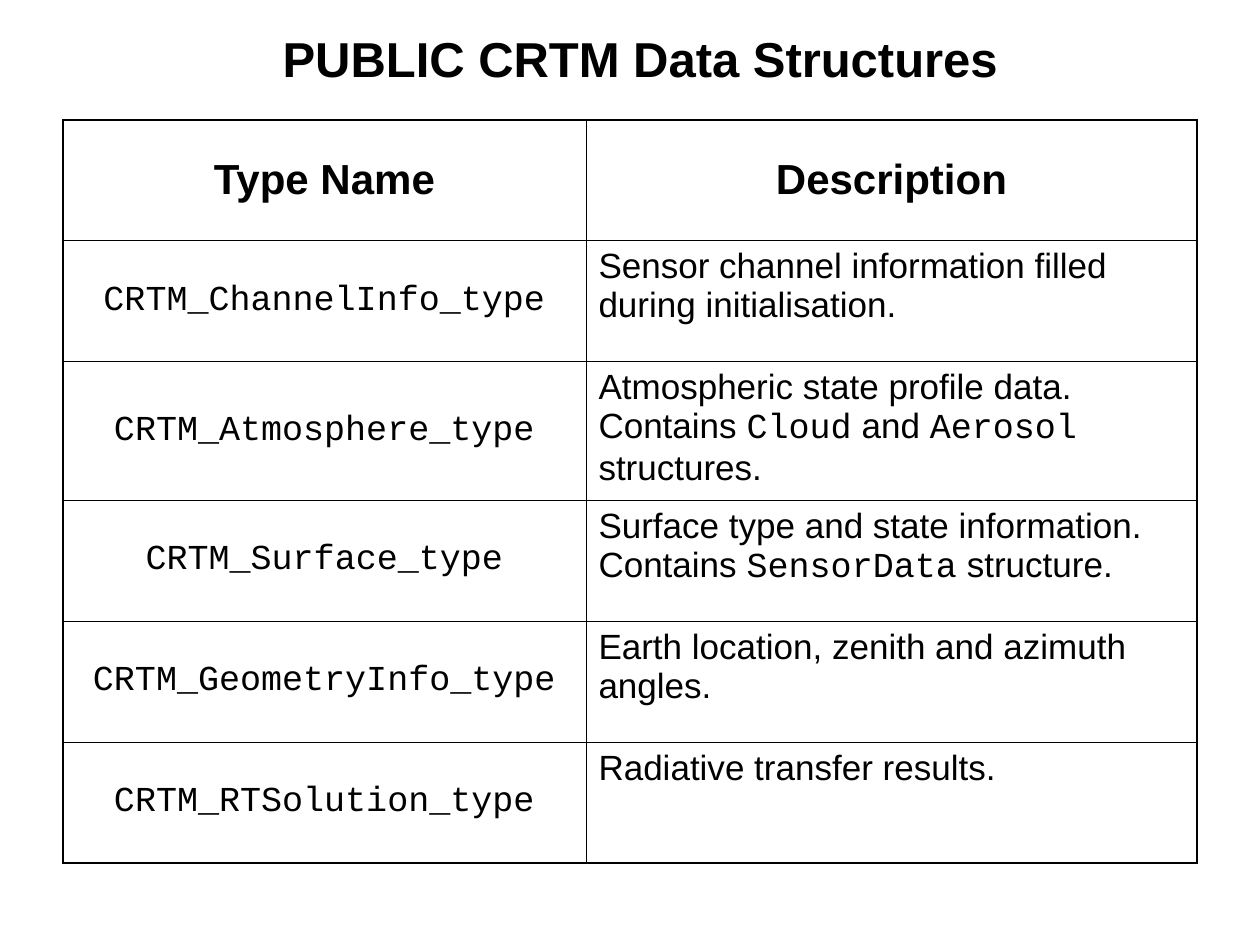
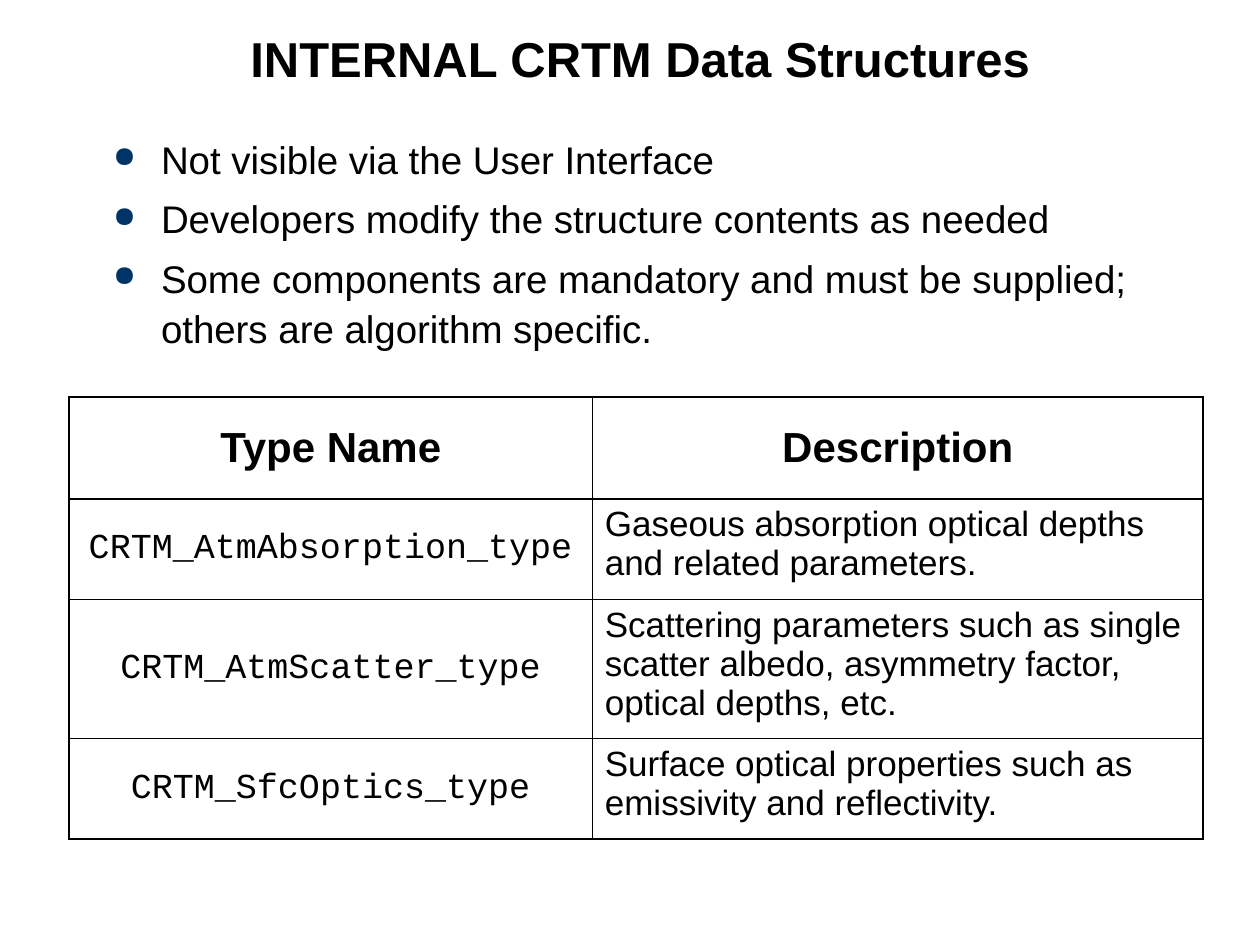
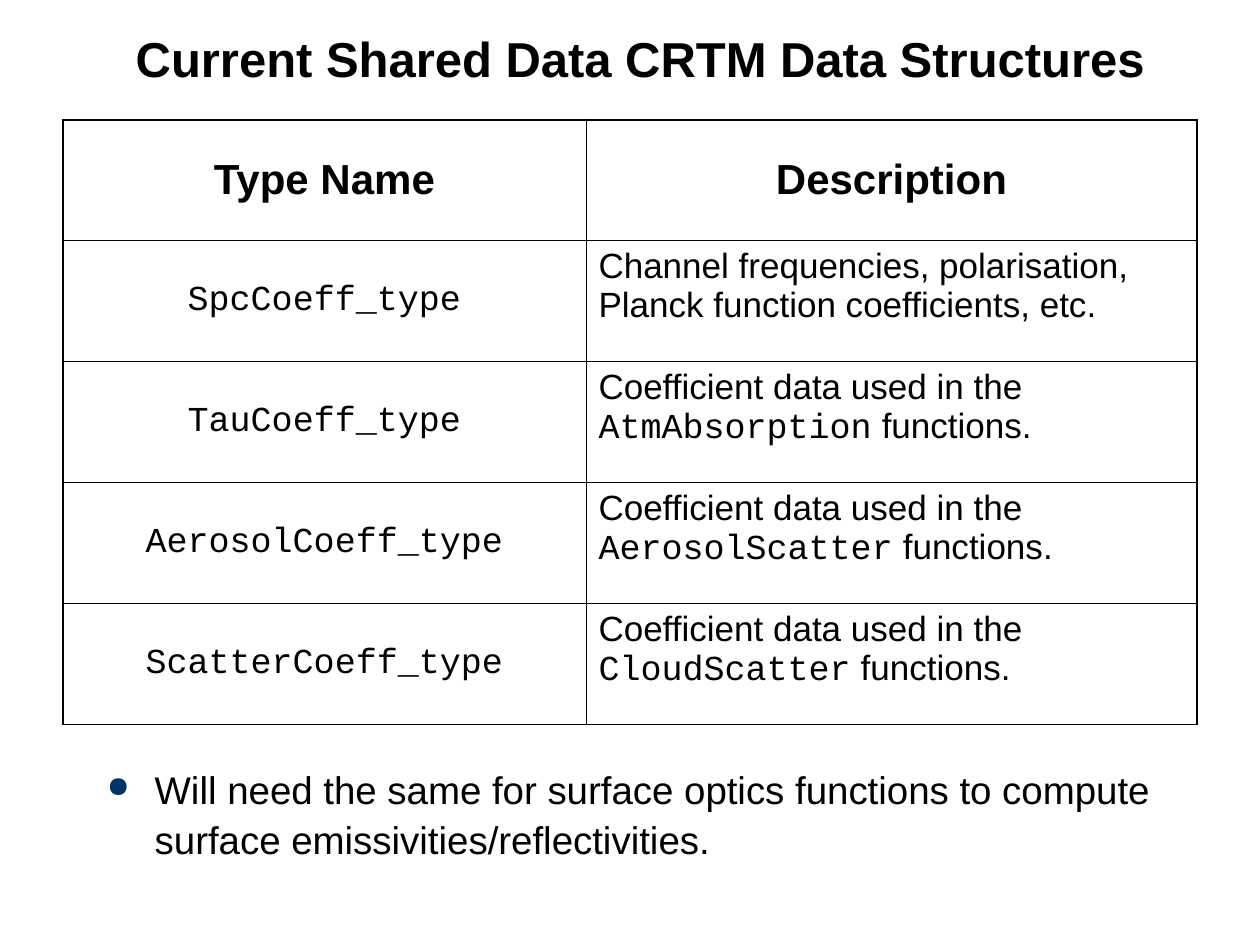
import pptx
import pptx.dml.color
import pptx.enum.text
import pptx.oxml.ns
import pptx.util
import lxml.etree

PX = 9144
BLACK, NAVY = "000000", "003366"
SANS, MONO = "Arial", "Courier New"
THICK, THIN = 1.08, 0.45
COLUMNS = (415, 485)
HEADINGS = ("Type Name", "Description")
CENTER = pptx.enum.text.PP_ALIGN.CENTER
ANCHOR = pptx.enum.text.MSO_ANCHOR

PUBLIC_TYPES = [
    ("CRTM_ChannelInfo_type", "Sensor channel information filled during initialisation."),
    ("CRTM_Atmosphere_type",
     "Atmospheric state profile data. Contains `Cloud` and `Aerosol` structures."),
    ("CRTM_Surface_type",
     "Surface type and state information. Contains `SensorData` structure."),
    ("CRTM_GeometryInfo_type", "Earth location, zenith and azimuth angles."),
    ("CRTM_RTSolution_type", "Radiative transfer results."),
]
INTERNAL_TYPES = [
    ("CRTM_AtmAbsorption_type", "Gaseous absorption optical depths and related parameters."),
    ("CRTM_AtmScatter_type",
     "Scattering parameters such as single scatter albedo, asymmetry factor, "
     "optical depths, etc."),
    ("CRTM_SfcOptics_type", "Surface optical properties such as emissivity and reflectivity."),
]
SHARED_TYPES = [
    ("SpcCoeff_type", "Channel frequencies, polarisation, Planck function coefficients, etc."),
    ("TauCoeff_type", "Coefficient data used in the `AtmAbsorption` functions."),
    ("AerosolCoeff_type", "Coefficient data used in the `AerosolScatter` functions."),
    ("ScatterCoeff_type", "Coefficient data used in the `CloudScatter` functions."),
]
INTERNAL_NOTES = [
    "Not visible via the User Interface",
    "Developers modify the structure contents as needed",
    "Some components are mandatory and must be supplied; others are algorithm specific.",
]
SHARED_NOTES = [
    "Will need the same for surface optics functions to compute "
    "surface emissivities/reflectivities.",
]


def px(*lengths):
    """Turn px lengths into a list of EMU."""
    return [pptx.util.Emu(length * PX) for length in lengths]


def rgb(color):
    """Turn a hex string into a colour."""
    return pptx.dml.color.RGBColor.from_string(color)


def add_child(parent, tag, **attributes):
    """Append a DrawingML element and return it."""
    return lxml.etree.SubElement(parent, pptx.oxml.ns.qn("a:" + tag), attributes)


def style(run, size, face=SANS, bold=False):
    """Format one run."""
    run.font.size = pptx.util.Pt(size)
    run.font.name = face
    run.font.bold = bold
    run.font.color.rgb = rgb(BLACK)


def add_titled_slide(deck, heading):
    """Add a slide with the shared title style."""
    slide = deck.slides.add_slide(deck.slide_layouts[5])
    title = slide.shapes.title
    title.left, title.top, title.width, title.height = px(58, 0, 900, 75)
    frame = title.text_frame
    frame.text = heading
    frame.auto_size = pptx.enum.text.MSO_AUTO_SIZE.NONE
    frame.vertical_anchor = ANCHOR.BOTTOM
    paragraph = frame.paragraphs[0]
    paragraph.alignment = CENTER
    paragraph.line_spacing = 0.9
    style(paragraph.runs[0], 28, bold=True)
    return slide


def set_borders(cell, **widths):
    """Draw the cell's sides (L, R, T, B) with the given widths."""
    properties = cell._tc.get_or_add_tcPr()
    for side, width in widths.items():
        line = add_child(properties, "ln" + side, w=str(int(pptx.util.Pt(width))))
        add_child(add_child(line, "solidFill"), "srgbClr", val=BLACK)


def fill_cell(cell, text, row, column):
    """Write a heading, a type name or a description with `code` parts."""
    paragraph = cell.text_frame.paragraphs[0]
    if row == 0 or column == 0:
        cell.vertical_anchor = ANCHOR.MIDDLE
        paragraph.alignment = CENTER
        paragraph.text = text
        size, face = (24, SANS) if row == 0 else (20, MONO)
        style(paragraph.runs[0], size, face, bold=row == 0)
        return
    cell.vertical_anchor = ANCHOR.TOP
    for index, part in enumerate(text.split("`")):
        run = paragraph.add_run()
        run.text = part
        style(run, 20, MONO if index % 2 else SANS)


def add_type_table(slide, left, top, heights, types):
    """Add the table of type names and descriptions."""
    rows = [HEADINGS, *types]
    frame = slide.shapes.add_table(
        len(rows), len(COLUMNS), *px(left, top, sum(COLUMNS), sum(heights)))
    table = frame.table
    table.first_row = table.horz_banding = False
    for column, width in zip(table.columns, px(*COLUMNS)):
        column.width = width
    for row, height in zip(table.rows, px(*heights)):
        row.height = height
    for r, texts in enumerate(rows):
        for c, text in enumerate(texts):
            cell = table.cell(r, c)
            cell.margin_left = cell.margin_right = px(10)[0]
            cell.margin_top = cell.margin_bottom = px(5)[0]
            set_borders(
                cell,
                L=THICK if c == 0 else THIN,
                R=THICK if c == len(COLUMNS) - 1 else THIN,
                T=THICK if r <= 1 else THIN,
                B=THICK if r in (0, len(rows) - 1) else THIN)
            cell.fill.background()
            fill_cell(cell, text, r, c)


def add_notes_list(slide, left, top, height, notes):
    """Add a bulleted list."""
    frame = slide.shapes.add_textbox(*px(left, top, 850, height)).text_frame
    frame.word_wrap = True
    for index, note in enumerate(notes):
        paragraph = frame.add_paragraph() if index else frame.paragraphs[0]
        paragraph.text = note
        properties = paragraph._p.get_or_add_pPr()
        indent = px(38)[0]
        properties.set("marL", str(indent))
        properties.set("indent", str(-indent))
        add_child(add_child(properties, "buClr"), "srgbClr", val=NAVY)
        add_child(properties, "buSzPct", val="75000")
        add_child(properties, "buChar", char="●")
        paragraph.line_spacing = 1.08
        if index:
            paragraph.space_before = pptx.util.Pt(5.5)
        style(paragraph.runs[0], 22)


def main():
    """Build and save the deck."""
    deck = pptx.Presentation()
    deck.slide_width, deck.slide_height = px(1000, 750)

    public = add_titled_slide(deck, "PUBLIC CRTM Data Structures")
    add_type_table(public, 50, 95, (96, 96, 110, 96, 96, 96), PUBLIC_TYPES)

    internal = add_titled_slide(deck, "INTERNAL CRTM Data Structures")
    add_type_table(internal, 55, 315, (81, 80, 110, 80), INTERNAL_TYPES)
    add_notes_list(internal, 80, 100, 195, INTERNAL_NOTES)

    shared = add_titled_slide(deck, "Current Shared Data CRTM Data Structures")
    add_type_table(shared, 50, 95, (96,) * 5, SHARED_TYPES)
    add_notes_list(shared, 75, 600, 105, SHARED_NOTES)

    deck.save("out.pptx")


if __name__ == "__main__":
    main()
